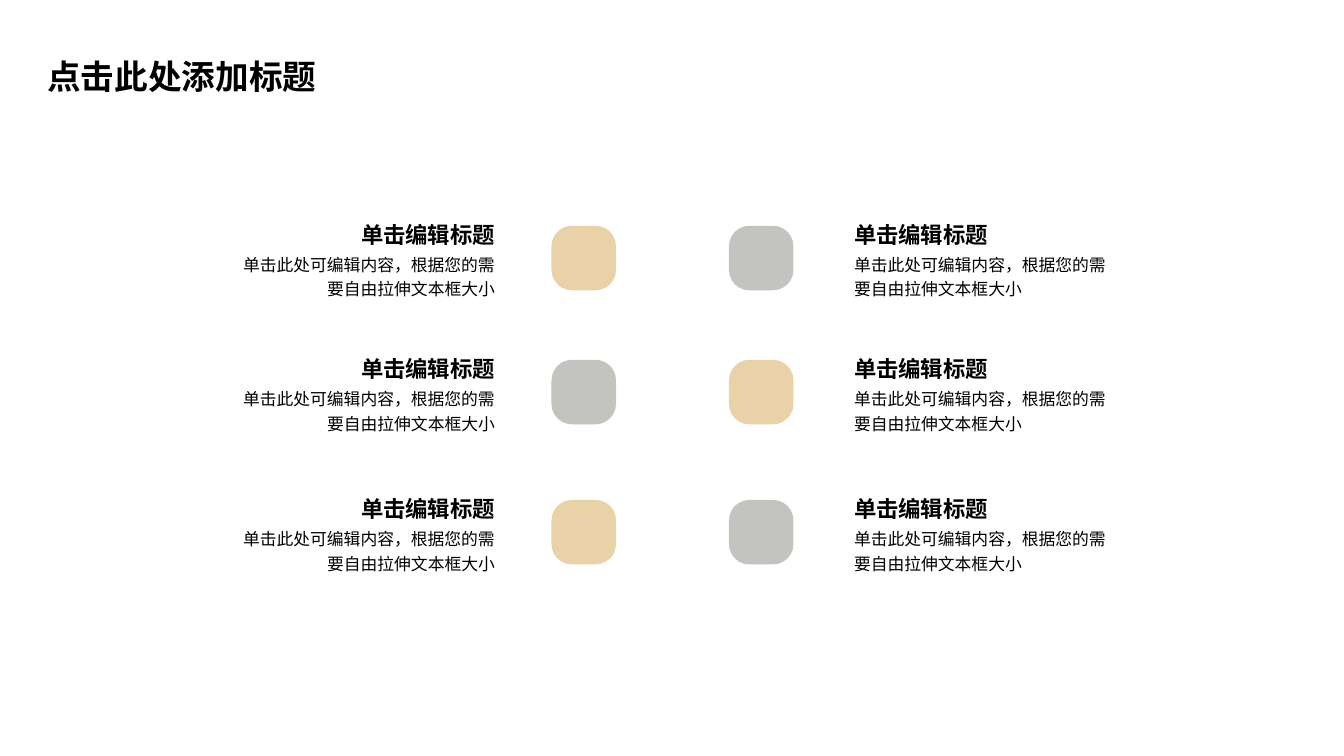
from dataclasses import dataclass
from lxml.etree import SubElement
from pptx import Presentation
from pptx.dml.color import RGBColor
from pptx.enum.shapes import MSO_SHAPE
from pptx.enum.text import MSO_ANCHOR, MSO_AUTO_SIZE, PP_ALIGN
from pptx.oxml.ns import qn
from pptx.util import Pt

EMU_PER_PX = 9144  # 100 px to the inch


@dataclass(frozen=True)
class Theme:
    ink: RGBColor = RGBColor.from_string("000000")
    sand: RGBColor = RGBColor.from_string("E9D2A8")
    grey: RGBColor = RGBColor.from_string("C3C3BF")
    title_font: str = "Noto Sans CJK SC"
    body_font: str = "Arial"
    title_size: int = 24
    heading_size: int = 16
    body_size: int = 12
    line_spacing: float = 1.2


THEME = Theme()
HEADING = "单击编辑标题"
BODY = "单击此处可编辑内容，根据您的需要自由拉伸文本框大小"


def px(*lengths):
    return [n * EMU_PER_PX for n in lengths]


def set_attrs(target, values):
    for name, value in values.items():
        setattr(target, name, value)


def write(p, text, font, size, bold):
    r = p.add_run()
    r.text = text
    set_attrs(r.font, {"name": font, "size": Pt(size), "bold": bold})
    r.font.color.rgb = THEME.ink
    SubElement(r._r.get_or_add_rPr(), qn("a:ea"), typeface=font)


def add_title(s, box, text):
    title = s.shapes.title
    set_attrs(title, dict(zip(("left", "top", "width", "height"), px(*box))))
    tf = title.text_frame
    set_attrs(tf, {"word_wrap": True, "auto_size": MSO_AUTO_SIZE.NONE,
                   "vertical_anchor": MSO_ANCHOR.MIDDLE})
    p = tf.paragraphs[0]
    p.alignment = PP_ALIGN.LEFT
    write(p, text, THEME.title_font, THEME.title_size, True)


def add_label(s, box, text, size, bold, align):
    tf = s.shapes.add_textbox(*px(*box)).text_frame
    set_attrs(tf, {"margin_left": 0, "margin_top": 0, "margin_right": 0,
                   "margin_bottom": 0, "word_wrap": True,
                   "auto_size": MSO_AUTO_SIZE.SHAPE_TO_FIT_TEXT})
    p = tf.paragraphs[0]
    set_attrs(p, {"alignment": align, "line_spacing": THEME.line_spacing})
    write(p, text, THEME.body_font, size, bold)


def add_tile(s, box, color):
    sp = s.shapes.add_shape(MSO_SHAPE.ROUNDED_RECTANGLE, *px(*box))
    sp.adjustments[0] = 0.317
    sp.shadow.inherit = False
    sp.fill.solid()
    sp.fill.fore_color.rgb = color
    sp.line.fill.background()


def add_item(s, box, color, tile_first):
    """Tile on the inner edge, heading and body aligned towards it."""
    x, y, w, h = box
    tile, heading_w, body_w = 64, 142, 255
    if tile_first:
        tile_x, heading_x, body_x = x, x + w - body_w, x + w - body_w
        align = PP_ALIGN.LEFT
    else:
        tile_x, heading_x, body_x = x + w - tile, x + body_w - heading_w, x
        align = PP_ALIGN.RIGHT
    add_tile(s, (tile_x, y + 10, tile, tile), color)
    add_label(s, (heading_x, y, heading_w, 32), HEADING,
              THEME.heading_size, True, align)
    add_label(s, (body_x, y + 35, body_w, h - 35), BODY,
              THEME.body_size, False, align)


def add_items(s, box, row_tops, left_w, right_w):
    """Two mirrored columns with alternating tile colours."""
    x, y, w = box
    columns = ((x, left_w), (x + w - right_w, right_w))
    for row, top in enumerate(row_tops):
        for col, (left, width) in enumerate(columns):
            color = (THEME.sand, THEME.grey)[(row + col) % 2]
            add_item(s, (left, y + top, width, 83), color, col == 1)


def main():
    prs = Presentation()
    prs.slide_width, prs.slide_height = px(1333, 750)
    s = prs.slides.add_slide(prs.slide_layouts[5])
    add_title(s, (37, 50, 301, 50), "点击此处添加标题")
    add_items(s, (236, 214, 866), (0, 133, 272), 375, 379)
    prs.save("out.pptx")


if __name__ == "__main__":
    main()
